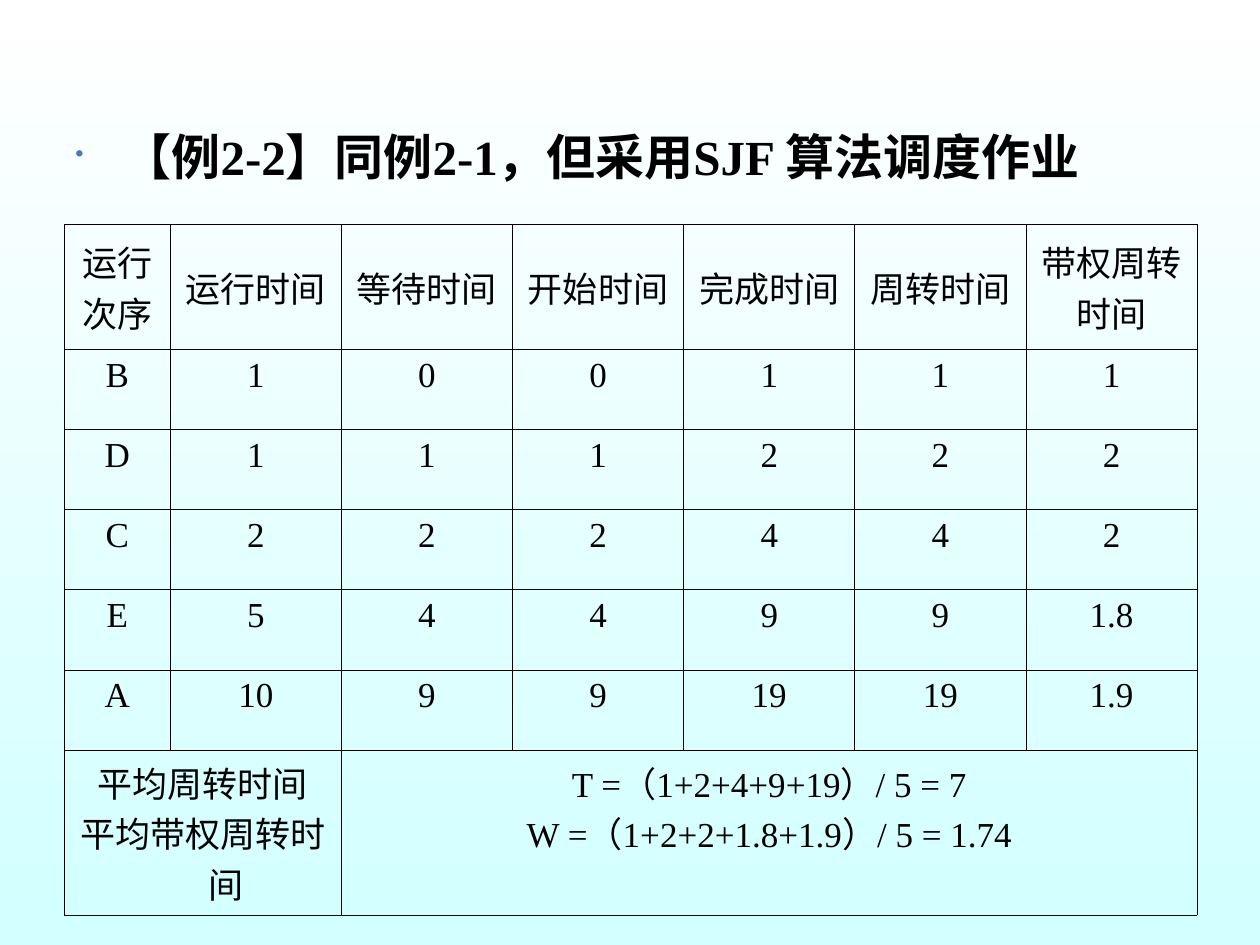
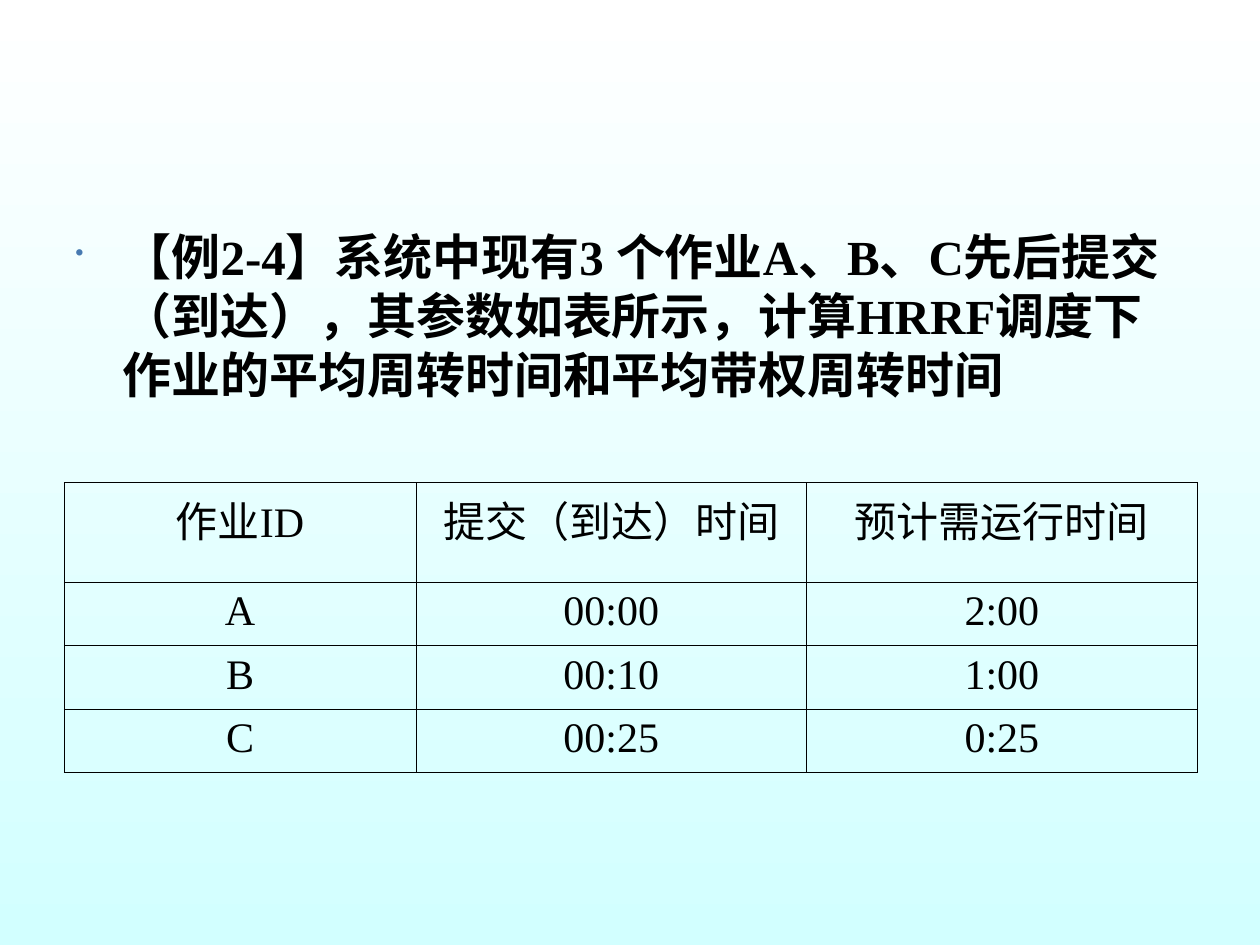
from dataclasses import dataclass

from lxml import etree
from pptx import Presentation
from pptx.dml.color import RGBColor
from pptx.enum.text import MSO_ANCHOR, PP_ALIGN
from pptx.oxml.ns import qn
from pptx.util import Pt

CENTER = PP_ALIGN.CENTER
MIDDLE, TOP = MSO_ANCHOR.MIDDLE, MSO_ANCHOR.TOP


@dataclass(frozen=True)
class Theme:
    ink: str = "000000"
    dot: str = "477AB1"
    sky: tuple = ("FFFFFF", "D2FFFF")
    latin: str = "Times New Roman"
    asian: str = "Noto Sans CJK SC"
    head: float = 28
    rule: float = 0.45
    hang: float = 27
    left: float = 36.7
    width: float = 647.3


theme = Theme()

# Content: heading, then a table; a cell of None joins the cell to its left
decks = [
    dict(
        head="【例2-2】同例2-1，但采用SJF 算法调度作业",
        head_top=69, head_height=42, top=128.2, size=20,
        cols=[60.6] + [97.8] * 6,
        rows=[71.5] + [45.8] * 5 + [94.3],
        anchor=MIDDLE,
        flush=("运行次序", "带权周转时间"),
        cells=[
            ("运行次序", "运行时间", "等待时间", "开始时间", "完成时间", "周转时间", "带权周转时间"),
            ("B", "1", "0", "0", "1", "1", "1"),
            ("D", "1", "1", "1", "2", "2", "2"),
            ("C", "2", "2", "2", "4", "4", "2"),
            ("E", "5", "4", "4", "9", "9", "1.8"),
            ("A", "10", "9", "9", "19", "19", "1.9"),
            ("平均周转时间\n平均带权周转时间", None,
             "T =（1+2+4+9+19）/ 5 = 7\nW =（1+2+2+1.8+1.9）/ 5 = 1.74",
             None, None, None, None),
        ],
    ),
    dict(
        head="【例2-4】系统中现有3 个作业A、B、C先后提交（到达），其参数如表所示，"
             "计算HRRF调度下作业的平均周转时间和平均带权周转时间",
        head_top=126, head_height=132.5, top=275.7, size=24,
        cols=[201, 223.2, 223.2],
        rows=[57] + [36.2] * 3,
        anchor=TOP,
        flush=(),
        cells=[
            ("作业ID", "提交（到达）时间", "预计需运行时间"),
            ("A", "00:00", "2:00"),
            ("B", "00:10", "1:00"),
            ("C", "00:25", "0:25"),
        ],
    ),
]


def style(para, size, bold=False, hang=True):
    """Set the indent and the fonts of a paragraph."""
    props = para._p.get_or_add_pPr()
    if hang:
        props.set("marL", str(Pt(theme.hang)))
        props.set("indent", str(-Pt(theme.hang)))
    font = para.font
    font.name, font.size, font.bold = theme.latin, Pt(size), bold
    font.color.rgb = RGBColor.from_string(theme.ink)
    etree.SubElement(props.find(qn("a:defRPr")), qn("a:ea"), typeface=theme.asian)


def border(cell):
    """Draw a thin line on all four sides of a cell."""
    props = cell._tc.get_or_add_tcPr()
    for side in ("lnL", "lnR", "lnT", "lnB"):
        line = etree.SubElement(props, qn("a:" + side), w=str(Pt(theme.rule)))
        fill = etree.SubElement(line, qn("a:solidFill"))
        etree.SubElement(fill, qn("a:srgbClr"), val=theme.ink)


prs = Presentation()
prs.slide_width, prs.slide_height = Pt(720), Pt(540)

# Shared background
fill = prs.slide_master.background.fill
fill.gradient()
fill.gradient_angle = 270
for stop, tone, place in zip(fill.gradient_stops, theme.sky, (0, 1)):
    stop.color.rgb = RGBColor.from_string(tone)
    stop.position = place

for deck in decks:
    slide = prs.slides.add_slide(prs.slide_layouts[6])

    # Heading with a small bullet
    box = slide.shapes.add_textbox(Pt(36), Pt(deck["head_top"]),
                                   Pt(theme.width), Pt(deck["head_height"]))
    frame = box.text_frame
    frame.word_wrap = True
    para = frame.paragraphs[0]
    para.text = deck["head"]
    props = para._p.get_or_add_pPr()
    tint = etree.SubElement(props, qn("a:buClr"))
    etree.SubElement(tint, qn("a:srgbClr"), val=theme.dot)
    etree.SubElement(props, qn("a:buSzPct"), val="50000")
    etree.SubElement(props, qn("a:buChar"), char="•")
    style(para, theme.head, bold=True)

    # Table grid
    cells, cols, rows = deck["cells"], deck["cols"], deck["rows"]
    table = slide.shapes.add_table(len(rows), len(cols), Pt(theme.left), Pt(deck["top"]),
                                   Pt(sum(cols)), Pt(sum(rows))).table
    table.first_row = table.horz_banding = False
    for col, width in zip(table.columns, cols):
        col.width = Pt(width)
    for row, height in zip(table.rows, rows):
        row.height = Pt(height)

    # Table cells
    for r, line in enumerate(cells):
        for c, text in enumerate(line):
            cell = table.cell(r, c)
            border(cell)
            cell.fill.background()
            if text is None:
                continue
            end = c
            while end + 1 < len(line) and line[end + 1] is None:
                end += 1
            if end > c:
                cell.merge(table.cell(r, end))
            cell.vertical_anchor = TOP if r else deck["anchor"]
            cell.text = text
            for para in cell.text_frame.paragraphs:
                para.alignment = CENTER
                style(para, deck["size"], hang=text not in deck["flush"])

prs.save("out.pptx")
